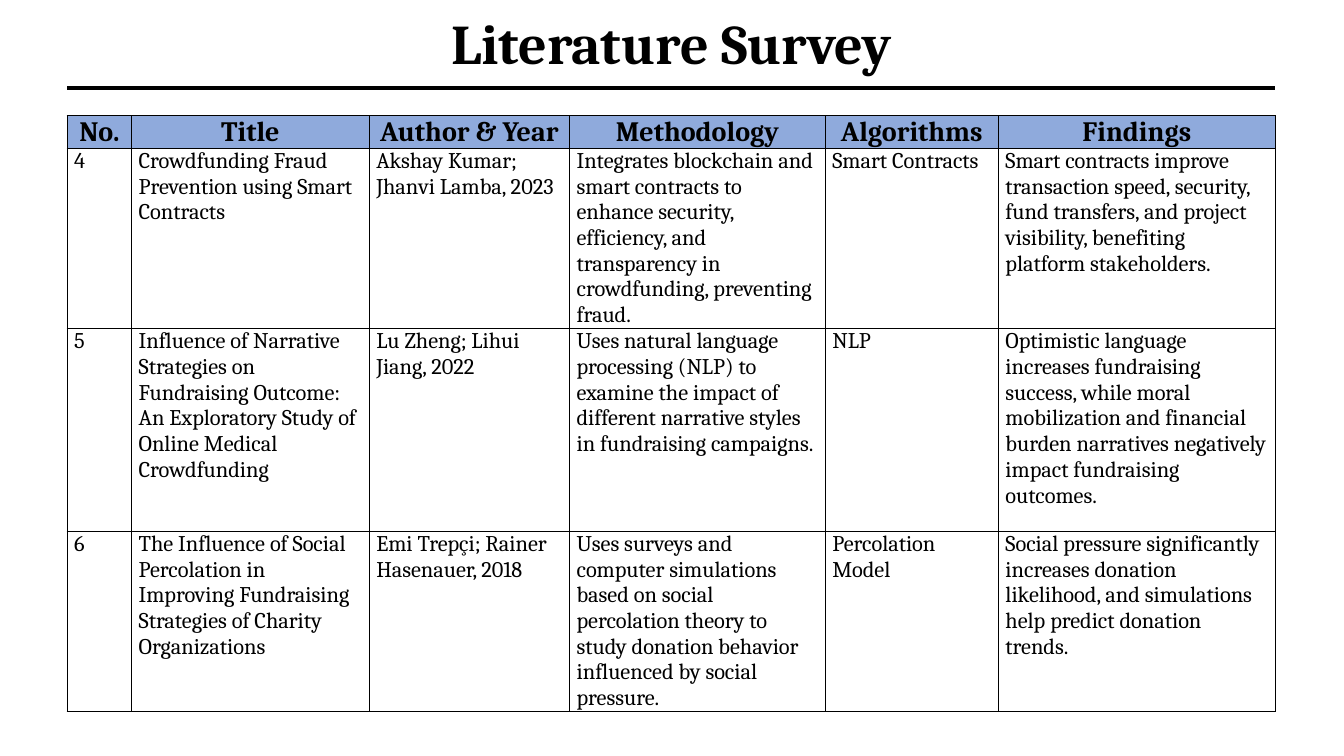
import pptx
import pptx.dml.color
import pptx.enum.shapes
import pptx.enum.text
import pptx.oxml.ns
import pptx.util
from lxml import etree

COLOURS = {"ink": "000000", "header": "8FAADC"}
LEFT, WIDTH = 5, 89.9
COLUMN_WEIGHTS = [0.64, 2.36, 1.99, 2.54, 1.72, 2.75]
ROW_SHARES = [2.93, 23.87, 26.8, 23.87]

HEADINGS = ["No.", "Title", "Author & Year", "Methodology", "Algorithms", "Findings"]
STUDIES = [
    ["4", "Crowdfunding Fraud Prevention using Smart Contracts",
     "Akshay Kumar; Jhanvi Lamba, 2023",
     "Integrates blockchain and smart contracts to enhance security, efficiency, "
     "and transparency in crowdfunding, preventing fraud.",
     "Smart Contracts",
     "Smart contracts improve transaction speed, security, fund transfers, "
     "and project visibility, benefiting platform stakeholders."],
    ["5", "Influence of Narrative Strategies on Fundraising Outcome: "
     "An Exploratory Study of Online Medical Crowdfunding",
     "Lu Zheng; Lihui Jiang, 2022",
     "Uses natural language processing (NLP) to examine the impact of "
     "different narrative styles in fundraising campaigns.",
     "NLP",
     "Optimistic language increases fundraising success, while moral mobilization "
     "and financial burden narratives negatively impact fundraising outcomes."],
    ["6", "The Influence of Social Percolation in Improving Fundraising "
     "Strategies of Charity Organizations",
     "Emi Trepçi; Rainer Hasenauer, 2018",
     "Uses surveys and computer simulations based on social percolation theory "
     "to study donation behavior influenced by social pressure.",
     "Percolation Model",
     "Social pressure significantly increases donation likelihood, "
     "and simulations help predict donation trends."],
]


def apply(target, values):
    for attribute, value in values.items():
        setattr(target, attribute, value)


def colour(name):
    return pptx.dml.color.RGBColor.from_string(COLOURS[name])


class SurveySlide:
    font_name = "Cambria"

    def __init__(self, deck):
        self.deck = deck
        self.slide = deck.slides.add_slide(deck.slide_layouts[5])

    def x(self, percent):
        return round(self.deck.slide_width * percent / 100)

    def y(self, percent):
        return round(self.deck.slide_height * percent / 100)

    def set_text(self, frame, text, size, bold, **paragraph_format):
        frame.text = text
        paragraph = frame.paragraphs[0]
        apply(paragraph, paragraph_format)
        font = paragraph.runs[0].font
        apply(font, {"name": self.font_name, "size": pptx.util.Pt(size), "bold": bold})
        font.color.rgb = colour("ink")

    def title(self, text, top, height):
        heading = self.slide.shapes.title
        apply(heading, {"left": self.x(LEFT), "top": self.y(top),
                        "width": self.x(WIDTH), "height": self.y(height)})
        apply(heading.text_frame, {
            "word_wrap": True,
            "auto_size": pptx.enum.text.MSO_AUTO_SIZE.NONE,
            "vertical_anchor": pptx.enum.text.MSO_ANCHOR.MIDDLE})
        self.set_text(heading.text_frame, text, 40, True, line_spacing=0.9,
                      alignment=pptx.enum.text.PP_ALIGN.CENTER)

    def rule(self, top, weight):
        divider = self.slide.shapes.add_connector(
            pptx.enum.shapes.MSO_CONNECTOR.STRAIGHT,
            self.x(LEFT), self.y(top), self.x(LEFT + WIDTH), self.y(top))
        divider.line.color.rgb = colour("ink")
        divider.line.width = pptx.util.Pt(weight)
        etree.SubElement(divider.element.spPr, pptx.oxml.ns.qn("a:effectLst"))

    def border(self, cell, weight):
        properties = cell._tc.get_or_add_tcPr()
        for position, side in enumerate(("lnL", "lnR", "lnT", "lnB")):
            edge = etree.Element(pptx.oxml.ns.qn(f"a:{side}"), w=str(pptx.util.Pt(weight)))
            fill = etree.SubElement(edge, pptx.oxml.ns.qn("a:solidFill"))
            etree.SubElement(fill, pptx.oxml.ns.qn("a:srgbClr"), val=COLOURS["ink"])
            properties.insert(position, edge)

    def cell(self, cell, text, is_heading):
        inset = pptx.util.Inches(0.05 if is_heading else 0.07)
        apply(cell, {"margin_left": inset, "margin_right": inset,
                     "margin_top": 0, "margin_bottom": 0})
        align = pptx.enum.text.PP_ALIGN
        self.set_text(cell.text_frame, text, 20 if is_heading else 16, is_heading,
                      alignment=align.CENTER if is_heading else align.LEFT)
        if is_heading:
            cell.fill.solid()
            cell.fill.fore_color.rgb = colour("header")
        else:
            cell.fill.background()
        self.border(cell, 1)

    def table(self, rows, top):
        survey = self.slide.shapes.add_table(
            len(rows), len(COLUMN_WEIGHTS), self.x(LEFT), self.y(top),
            self.x(WIDTH), self.y(sum(ROW_SHARES))).table
        apply(survey, {"first_row": False, "horz_banding": False})
        for column, weight in zip(survey.columns, COLUMN_WEIGHTS):
            column.width = self.x(WIDTH * weight / sum(COLUMN_WEIGHTS))
        for row, share in zip(survey.rows, ROW_SHARES):
            row.height = self.y(share)
        for row_index, entries in enumerate(rows):
            for column_index, text in enumerate(entries):
                self.cell(survey.cell(row_index, column_index), text, row_index == 0)


def main():
    deck = pptx.Presentation()
    apply(deck, {"slide_width": pptx.util.Inches(13.33),
                 "slide_height": pptx.util.Inches(7.5)})
    survey_slide = SurveySlide(deck)
    survey_slide.title("Literature Survey", 0.27, 11.6)
    survey_slide.rule(11.6, 3)
    survey_slide.table([HEADINGS] + STUDIES, 15.33)
    deck.save("out.pptx")


if __name__ == "__main__":
    main()
